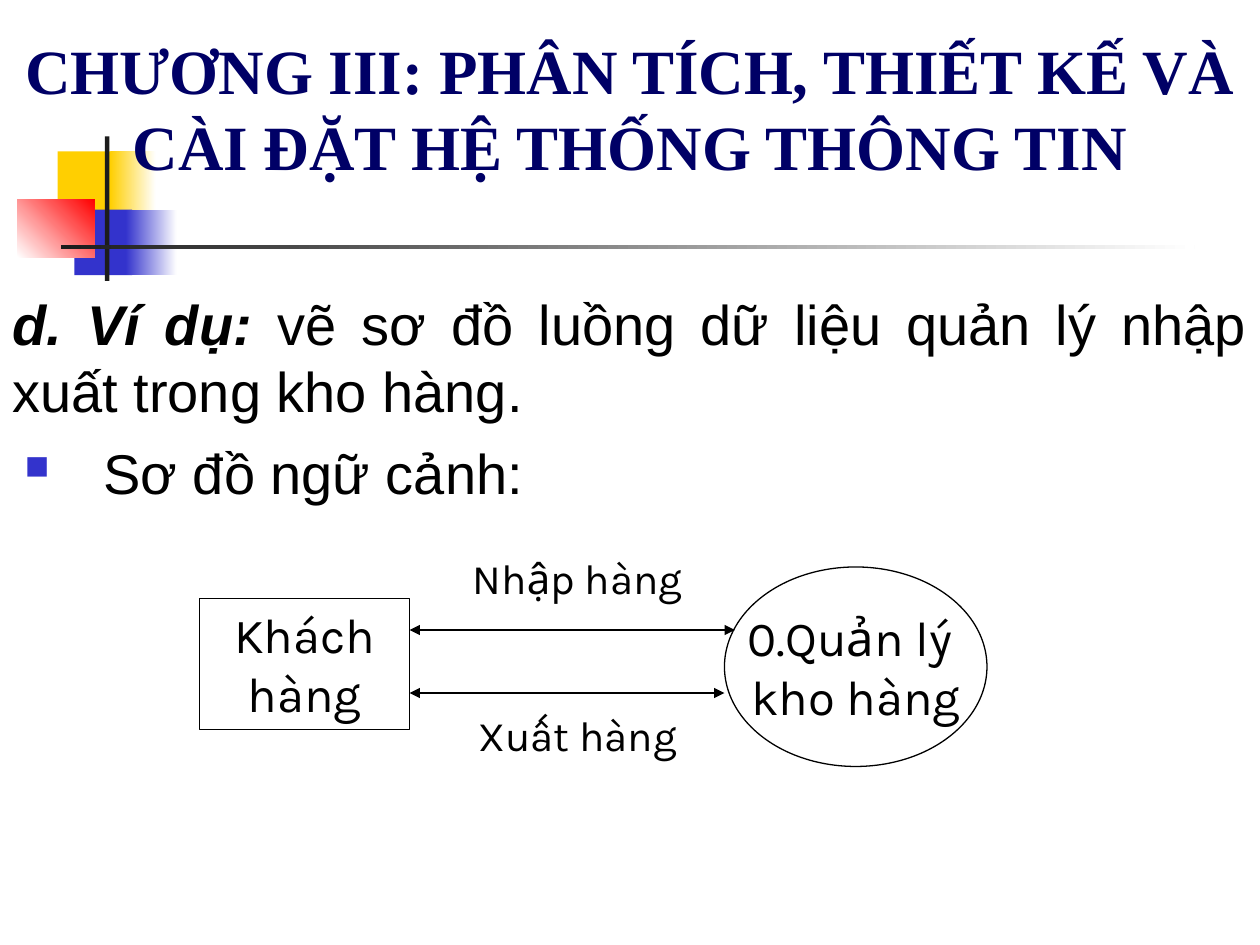
from lxml import etree
from pptx import Presentation
from pptx.dml.color import RGBColor
from pptx.enum.shapes import MSO_CONNECTOR as Connector, MSO_SHAPE as Shape
from pptx.enum.text import MSO_ANCHOR as Anchor, PP_ALIGN as Align
from pptx.oxml.ns import qn
from pptx.util import Pt

BLACK = RGBColor(0x00, 0x00, 0x00)
WHITE = RGBColor(0xFF, 0xFF, 0xFF)
CHARCOAL = RGBColor(0x1C, 0x1C, 0x1C)
NAVY = RGBColor(0x00, 0x00, 0x66)
BLUE = RGBColor(0x33, 0x33, 0xCC)
YELLOW = RGBColor(0xFF, 0xCF, 0x01)
RED = RGBColor(0xFF, 0x00, 0x00)


class SlideBuilder:
    title_font = "Times New Roman"
    body_font = "Arial"
    diagram_font = "Karla"
    line_width = Pt(0.75)

    def __init__(self, slide):
        self.slide = slide

    def ornament(self, box, color, end_color=None, angle=0):
        """Borderless rectangle, plain or fading from color to end_color."""
        block = self.slide.shapes.add_shape(Shape.RECTANGLE, *map(Pt, box))
        block.shadow.inherit = False
        block.line.fill.background()
        if end_color is None:
            block.fill.solid()
            block.fill.fore_color.rgb = color
            return
        block.fill.gradient()
        block.fill.gradient_angle = angle
        for stop, stop_color in zip(block.fill.gradient_stops, (color, end_color)):
            stop.color.rgb = stop_color

    def style(self, paragraph, font, size, color=BLACK, bold=None, align=Align.CENTER):
        paragraph.alignment = align
        paragraph.font.name = font
        paragraph.font.size = Pt(size)
        paragraph.font.color.rgb = color
        paragraph.font.bold = bold

    def text(self, box, lines, font, size, color=BLACK, bold=None,
             align=Align.CENTER, anchor=Anchor.TOP):
        frame = self.slide.shapes.add_textbox(*map(Pt, box)).text_frame
        frame.word_wrap = True
        frame.vertical_anchor = anchor
        frame.text = "\n".join(lines)
        for paragraph in frame.paragraphs:
            self.style(paragraph, font, size, color, bold, align)
        return frame

    def bullet(self, paragraph, left, hanging, color):
        props = paragraph._p.get_or_add_pPr()
        props.set("marL", str(Pt(left)))
        props.set("indent", str(-Pt(hanging)))
        bullet_color = etree.SubElement(props, qn("a:buClr"))
        etree.SubElement(bullet_color, qn("a:srgbClr"), val=str(color))
        etree.SubElement(props, qn("a:buSzPct"), val="60000")
        etree.SubElement(props, qn("a:buChar"), char="■")

    def node(self, kind, box, lines, fill=None, anchor=Anchor.TOP, wrap=True):
        node = self.slide.shapes.add_shape(kind, *map(Pt, box))
        node.shadow.inherit = False
        if fill is None:
            node.fill.background()
        else:
            node.fill.solid()
            node.fill.fore_color.rgb = fill
        node.line.color.rgb = BLACK
        node.line.width = self.line_width
        frame = node.text_frame
        frame.word_wrap = wrap
        frame.vertical_anchor = anchor
        frame.text = "\n".join(lines)
        for paragraph in frame.paragraphs:
            self.style(paragraph, self.diagram_font, 28)

    def flow(self, left, right, y):
        """Horizontal line with an arrowhead at both ends."""
        arrow = self.slide.shapes.add_connector(
            Connector.STRAIGHT, Pt(left), Pt(y), Pt(right), Pt(y))
        arrow.line.color.rgb = BLACK
        arrow.line.width = self.line_width
        outline = arrow.line._get_or_add_ln()
        for end in ("a:headEnd", "a:tailEnd"):
            etree.SubElement(outline, qn(end), type="triangle")
        etree.SubElement(arrow._element.spPr, qn("a:effectLst"))


def main():
    deck = Presentation()
    deck.slide_width, deck.slide_height = Pt(720), Pt(540)
    builder = SlideBuilder(deck.slides.add_slide(deck.slide_layouts[6]))

    # Corner ornament and fading rule
    builder.ornament((33, 86.5, 34.5, 37.5), YELLOW)
    builder.ornament((63, 86.5, 26, 37.5), YELLOW, WHITE)
    builder.ornament((42.5, 119.75, 33, 37.5), BLUE)
    builder.ornament((72, 119.75, 29, 37.5), BLUE, WHITE)
    builder.ornament((10, 113.75, 44, 33.25), WHITE, RED, angle=45)
    builder.ornament((60, 78, 2.5, 82.5), CHARCOAL)
    builder.ornament((34.75, 140, 648, 2.5), CHARCOAL, WHITE)

    # Title
    builder.text((0, 0, 720, 108),
                 ["CHƯƠNG III: PHÂN TÍCH, THIẾT KẾ VÀ CÀI ĐẶT HỆ THỐNG THÔNG TIN"],
                 builder.title_font, 36, NAVY, bold=True, anchor=Anchor.BOTTOM)

    # Example statement and bullet
    body = builder.text((0, 162, 720, 378), ["", "Sơ đồ ngữ cảnh:"],
                        builder.body_font, 32, align=Align.JUSTIFY)
    statement, context = body.paragraphs
    lead = statement.add_run()
    lead.text = "d. Ví dụ:"
    lead.font.bold = lead.font.italic = True
    statement.add_run().text = " vẽ sơ đồ luồng dữ liệu quản lý nhập xuất trong kho hàng."
    context_props = context._p.get_or_add_pPr()
    context_font = context_props.find(qn("a:defRPr"))
    context.space_before = Pt(8)
    builder.bullet(context, 52, 45, BLUE)
    context_props.append(context_font)  # the font element comes after the bullet

    # Context diagram
    builder.node(Shape.RECTANGLE, (114, 342, 120, 75), ["Khách hàng"])
    builder.node(Shape.OVAL, (414, 324, 150, 114), ["0.Quản lý ", "kho hàng"],
                 fill=WHITE, anchor=Anchor.MIDDLE, wrap=False)
    flows = (("Nhập hàng", 312, 360, 420), ("Xuất hàng", 402, 396, 414))
    for label, label_top, arrow_y, arrow_right in flows:
        builder.flow(234, arrow_right, arrow_y)
        builder.text((234, label_top, 192, 36), [label], builder.diagram_font, 24)

    deck.save("out.pptx")


if __name__ == "__main__":
    main()
